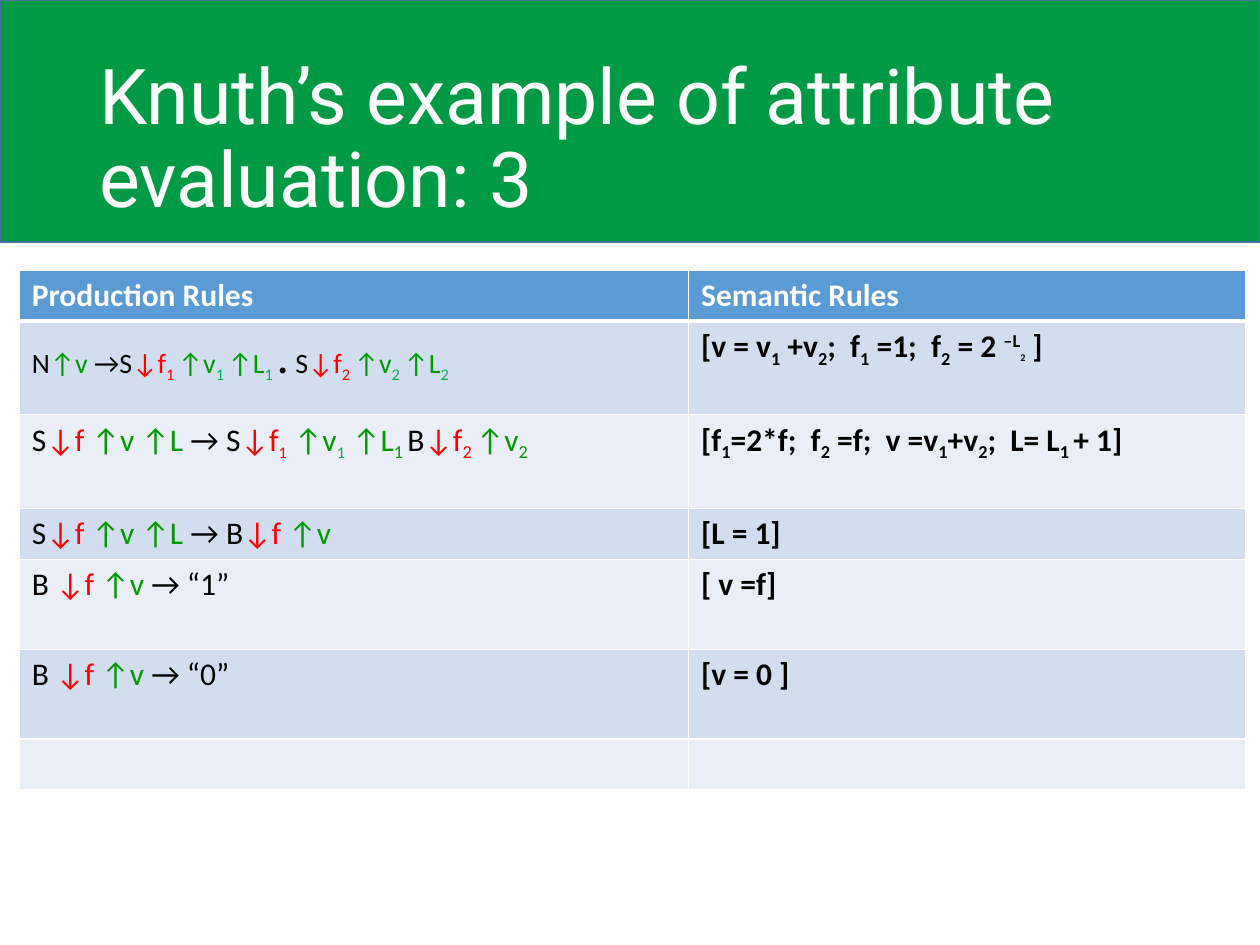
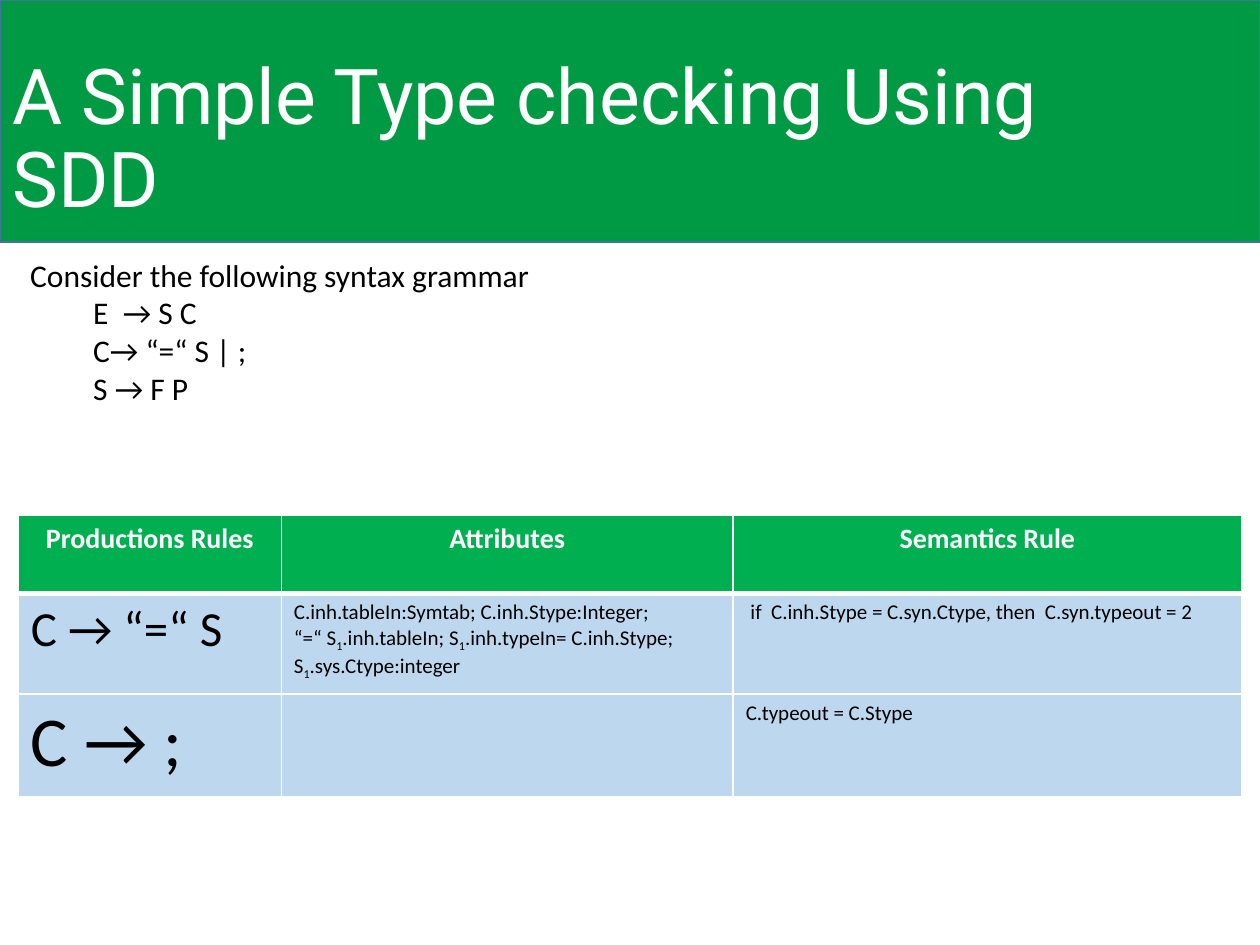
from lxml.etree import SubElement
from pptx import Presentation
from pptx.dml.color import RGBColor
from pptx.enum.shapes import MSO_SHAPE
from pptx.enum.text import MSO_ANCHOR, PP_ALIGN
from pptx.oxml.ns import qn
from pptx.util import Cm, Pt

WHITE = RGBColor(0xFF, 0xFF, 0xFF)
BLACK = RGBColor(0x00, 0x00, 0x00)
RED = RGBColor(0xFF, 0x00, 0x00)
GREEN = RGBColor(0x00, 0x99, 0x00)
BRIGHT_GREEN = RGBColor(0x00, 0xB0, 0x50)
BAND_GREEN = RGBColor(0x00, 0x9A, 0x44)
BAND_EDGE = RGBColor(0x43, 0x73, 0x9E)
HEADER_BLUE = RGBColor(0x5B, 0x9B, 0xD5)
STRIPE_DARK = RGBColor(0xD2, 0xDE, 0xEF)
STRIPE_LIGHT = RGBColor(0xEA, 0xEF, 0xF7)
PALE_BLUE = RGBColor(0xBD, 0xD7, 0xEE)

TITLE_FONT, BODY_FONT = "Roboto", "Calibri"
SLIDE_WIDTH, SLIDE_HEIGHT = Cm(25.4), Cm(19.05)
BAND_HEIGHT = Cm(4.88)

# A span is plain text or (text, style, style, ...); a paragraph is a list of spans.
INHERITED = {"color": RED}
SYNTHESIZED = {"color": GREEN}
BRIGHT = {"color": BRIGHT_GREEN}
BOLD = {"bold": True}
SUB = {"baseline": -25}
SUPER = {"baseline": 30}
SIZE_10, SIZE_12, SIZE_16, SIZE_28, SIZE_40 = ({"size": n} for n in (10, 12, 16, 28, 40))
HEADER = {"color": WHITE, "bold": True}

KNUTH_TITLE = "Knuth’s example of attribute evaluation: 3"
KNUTH_HEADER = ["Production Rules", "Semantic Rules"]
KNUTH_ROWS = [
    # production, style of its cell, semantic rule
    (["N", ("↑v", SYNTHESIZED), " →S",
      ("↓f", INHERITED), ("1 ", INHERITED, SUB),
      ("↑v", SYNTHESIZED), ("1 ", BRIGHT, SUB),
      ("↑L", SYNTHESIZED), ("1 ", BRIGHT, SUB),
      (".", SIZE_28), " S",
      ("↓f", INHERITED), ("2 ", INHERITED, SUB),
      ("↑v", SYNTHESIZED), ("2 ", BRIGHT, SUB),
      ("↑L", SYNTHESIZED), ("2", BRIGHT, SUB)],
     SIZE_16,
     ["[v = v", ("1", SUB), " +v", ("2", SUB), ";  f", ("1", SUB), " =1;  f",
      ("2", SUB), " = 2 ", ("–L", SUPER), ("2", SUB, SIZE_10), " ]"]),
    (["S", ("↓f ", INHERITED), ("↑v ↑L ", SYNTHESIZED), "→ S",
      ("↓f", INHERITED), ("1", INHERITED, SUB, SIZE_16), " ",
      ("↑v", SYNTHESIZED), ("1", BRIGHT, SUB, SIZE_16), " ",
      ("↑L", SYNTHESIZED), ("1 ", SYNTHESIZED, SUB), "B",
      ("↓f", INHERITED), ("2 ", INHERITED, SUB),
      ("↑v", SYNTHESIZED), ("2", SYNTHESIZED, SUB)],
     {},
     ["[f", ("1", SUB), "=2*f;  f", ("2", SUB), " =f;  v =v", ("1", SUB),
      "+v", ("2", SUB), ";  L= L", ("1 ", SUB), "+ 1]"]),
    (["S", ("↓f ", INHERITED), ("↑v ↑L ", SYNTHESIZED), "→ B",
      ("↓f ", INHERITED), ("↑v", SYNTHESIZED)], {}, ["[L = 1]"]),
    (["B", (" ↓f ", INHERITED), ("↑v ", SYNTHESIZED), "→ “1”"], {}, ["[ v =f]"]),
    (["B", (" ↓f ", INHERITED), ("↑v ", SYNTHESIZED), "→ “0”"], {}, ["[v = 0 ]"]),
    ([], {}, []),
]

TYPES_TITLE = "A Simple Type checking Using SDD"
GRAMMAR_INTRO = "Consider the following syntax grammar"
GRAMMAR = ["E  → S C", "C→ “=“ S | ;", "S → F P"]
TYPES_HEADER = ["Productions Rules", "Attributes", "Semantics Rule"]
TYPES_ROWS = [
    # production, its size, attributes, semantic rule
    ("C → “=“ S", SIZE_28,
     [["C.inh.tableIn:Symtab; C.inh.Stype:Integer;"],
      ["“=“ S", ("1", SUB), ".inh.tableIn; S", ("1", SUB),
       ".inh.typeIn= C.inh.Stype; S", ("1", SUB), ".sys.Ctype:integer"]],
     " if  C.inh.Stype = C.syn.Ctype, then  C.syn.typeout = 2"),
    ("C → ;", SIZE_40, [], "C.typeout = C.Stype"),
]


def add_spans(para, spans, base):
    for span in spans:
        text, *styles = (span,) if isinstance(span, str) else span
        style = {"font": BODY_FONT, "size": 18, "color": BLACK, "bold": False, **base}
        for override in styles:
            style.update(override)
        run = para.add_run()
        run.text = text
        run.font.name = style["font"]
        run.font.size = Pt(style["size"])
        run.font.color.rgb = style["color"]
        run.font.bold = style["bold"]
        if "baseline" in style:
            run.font._element.set("baseline", str(style["baseline"] * 1000))


def add_paragraphs(frame, paragraphs, base, align=PP_ALIGN.LEFT):
    for index, spans in enumerate(paragraphs):
        para = frame.add_paragraph() if index else frame.paragraphs[0]
        para.alignment = align
        add_spans(para, spans, base)


def add_titled_slide(deck, title, left, width):
    slide = deck.slides.add_slide(deck.slide_layouts[6])
    band = slide.shapes.add_shape(MSO_SHAPE.RECTANGLE, 0, 0, SLIDE_WIDTH, BAND_HEIGHT)
    band.shadow.inherit = False
    band.fill.solid()
    band.fill.fore_color.rgb = BAND_GREEN
    band.line.color.rgb = BAND_EDGE
    band.line.width = Pt(1)
    box = slide.shapes.add_textbox(left, Cm(1.01), width, Cm(3.68))
    frame = box.text_frame
    frame.word_wrap = True
    frame.vertical_anchor = MSO_ANCHOR.MIDDLE
    add_paragraphs(frame, [[title]], {"font": TITLE_FONT, "size": 44, "color": WHITE})
    frame.paragraphs[0].line_spacing = 0.9
    return slide


def style_cell(cell, fill, row):
    """Fill a cell and rule it in white, thicker under the header row."""
    properties = cell._tc.get_or_add_tcPr()
    thick_side = {0: "lnB", 1: "lnT"}.get(row)
    for side in ("lnL", "lnR", "lnT", "lnB"):
        width = Pt(3 if side == thick_side else 1)
        line = SubElement(properties, qn(f"a:{side}"), w=str(width))
        solid = SubElement(line, qn("a:solidFill"))
        SubElement(solid, qn("a:srgbClr"), val=str(WHITE))
    cell.fill.solid()
    cell.fill.fore_color.rgb = fill


def add_rule_table(slide, left, top, widths, heights, rows, fills):
    """Each cell is (paragraphs, base style, alignment); fills hold one colour a row."""
    table = slide.shapes.add_table(len(rows), len(widths), left, top,
                                   sum(widths), sum(heights)).table
    table.first_row = table.horz_banding = False
    for column, width in zip(table.columns, widths):
        column.width = width
    for row, (height, contents, fill) in enumerate(zip(heights, rows, fills)):
        table.rows[row].height = height
        for cell, content in zip(table.rows[row].cells, contents):
            style_cell(cell, fill, row)
            add_paragraphs(cell.text_frame, *content)


def header_cells(labels, size, align):
    return [([[label]], {**HEADER, "size": size}, align) for label in labels]


def add_knuth_slide(deck):
    slide = add_titled_slide(deck, KNUTH_TITLE, Cm(1.75), Cm(21.9))
    rows = [header_cells(KNUTH_HEADER, 18, PP_ALIGN.LEFT)]
    rows += [[([production], style), ([rule], BOLD)]
             for production, style, rule in KNUTH_ROWS]
    heights = [Cm(h) for h in (1.03, 1.89, 1.89, 1.03, 1.81, 1.81, 1.03)]
    fills = [HEADER_BLUE] + [STRIPE_DARK, STRIPE_LIGHT] * 3
    add_rule_table(slide, Cm(0.39), Cm(5.44), [Cm(13.49), Cm(11.23)], heights, rows, fills)


def add_types_slide(deck):
    slide = add_titled_slide(deck, TYPES_TITLE, 0, Cm(23.65))
    rows = [header_cells(TYPES_HEADER, 16, PP_ALIGN.CENTER)]
    rows += [[([[production]], size), (attributes, SIZE_12), ([[rule]], SIZE_12)]
             for production, size, attributes, rule in TYPES_ROWS]
    add_rule_table(slide, Cm(0.37), Cm(10.39), [Cm(5.3), Cm(9.11), Cm(10.25)],
                   [Cm(1.57), Cm(2.03), Cm(2.08)], rows,
                   [BRIGHT_GREEN, PALE_BLUE, PALE_BLUE])

    box = slide.shapes.add_textbox(Cm(0.36), Cm(5.03), Cm(12.7), Cm(3.33))
    frame = box.text_frame
    frame.word_wrap = True
    add_paragraphs(frame, [[line] for line in [GRAMMAR_INTRO, *GRAMMAR]], {})
    for para in frame.paragraphs[1:]:
        para.level = 1
        para._p.get_or_add_pPr().set("marL", str(Cm(1.27)))
        para._p.get_or_add_pPr().set("indent", "0")


def main():
    deck = Presentation()
    deck.slide_width, deck.slide_height = SLIDE_WIDTH, SLIDE_HEIGHT
    add_knuth_slide(deck)
    add_types_slide(deck)
    deck.save("out.pptx")


if __name__ == "__main__":
    main()
